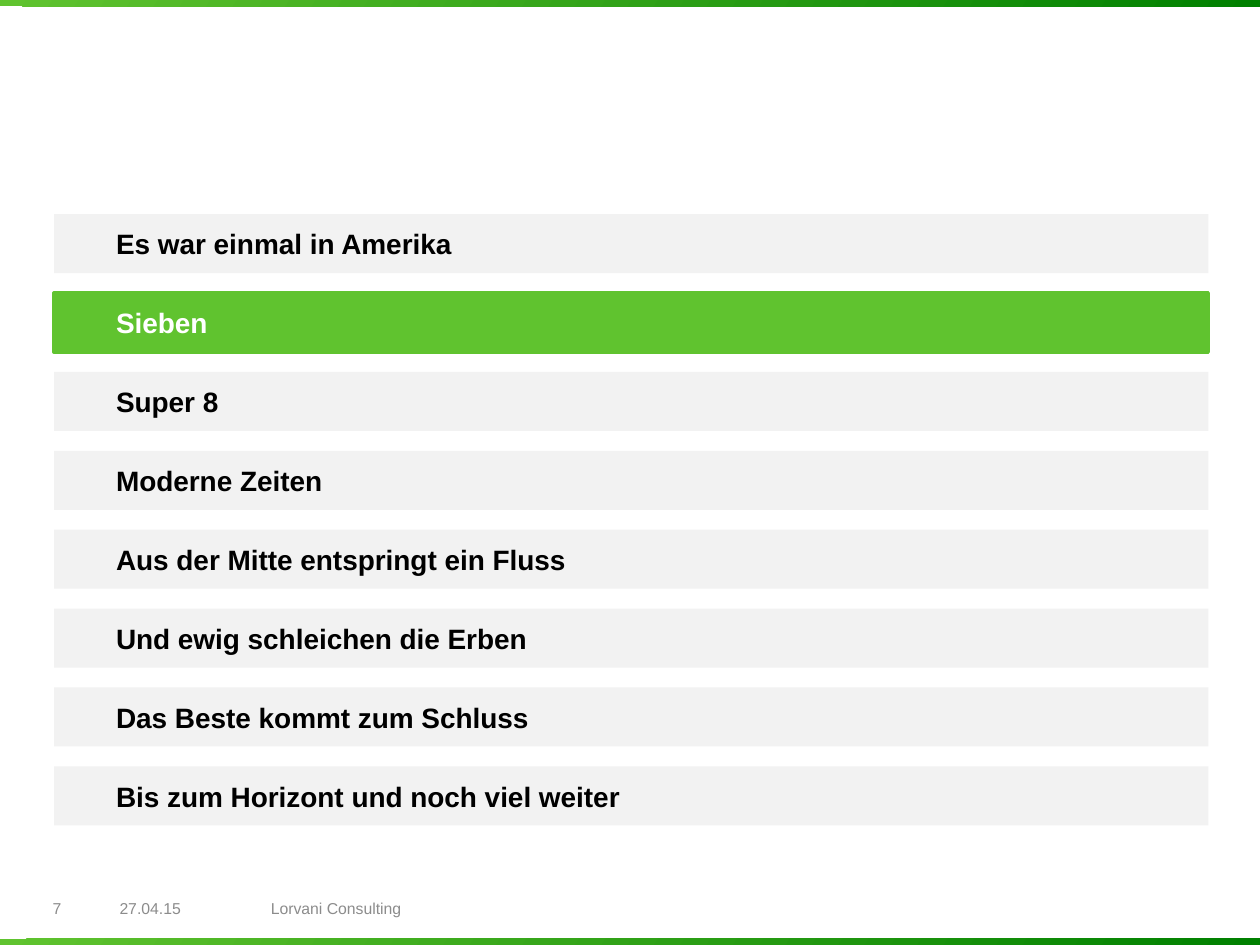
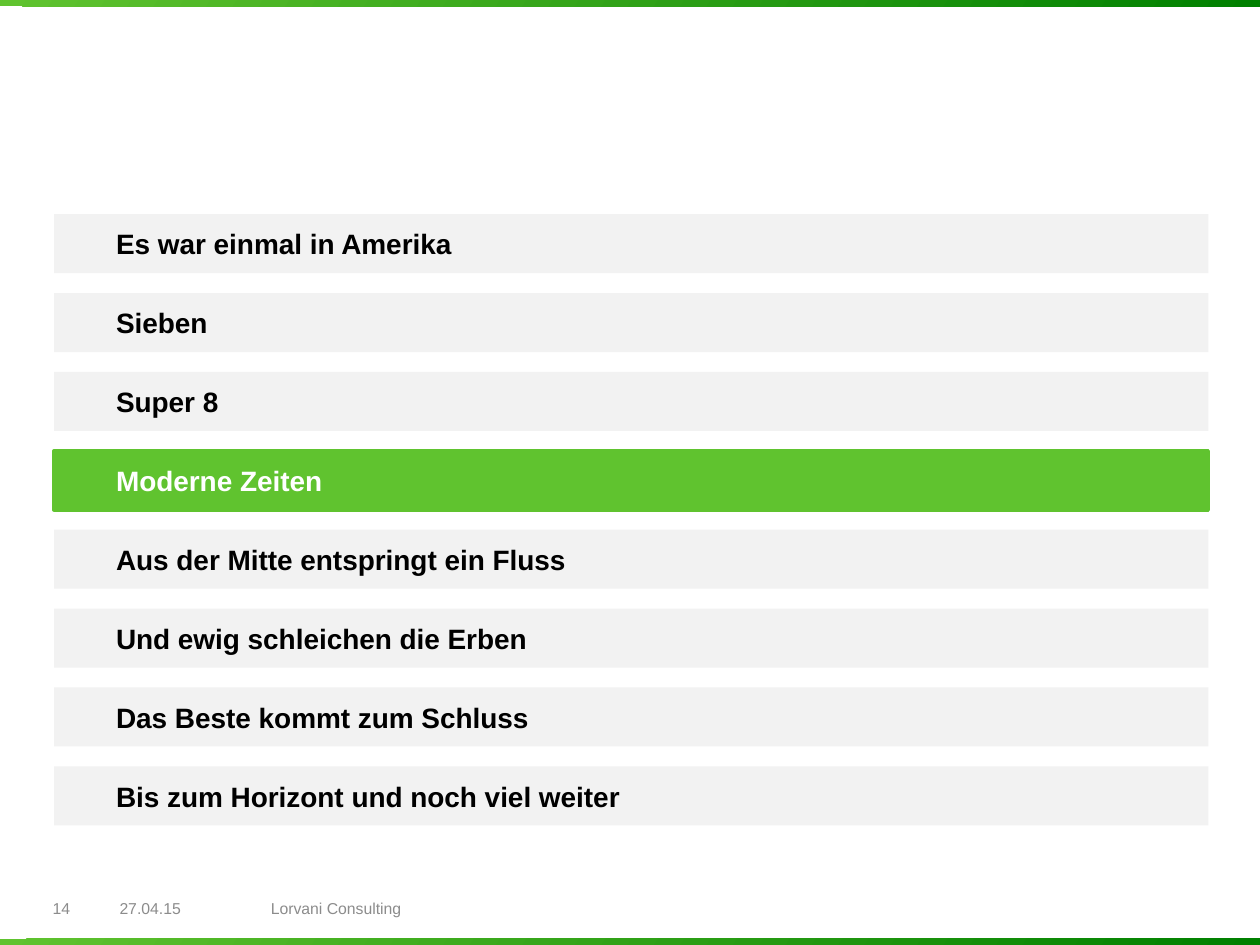
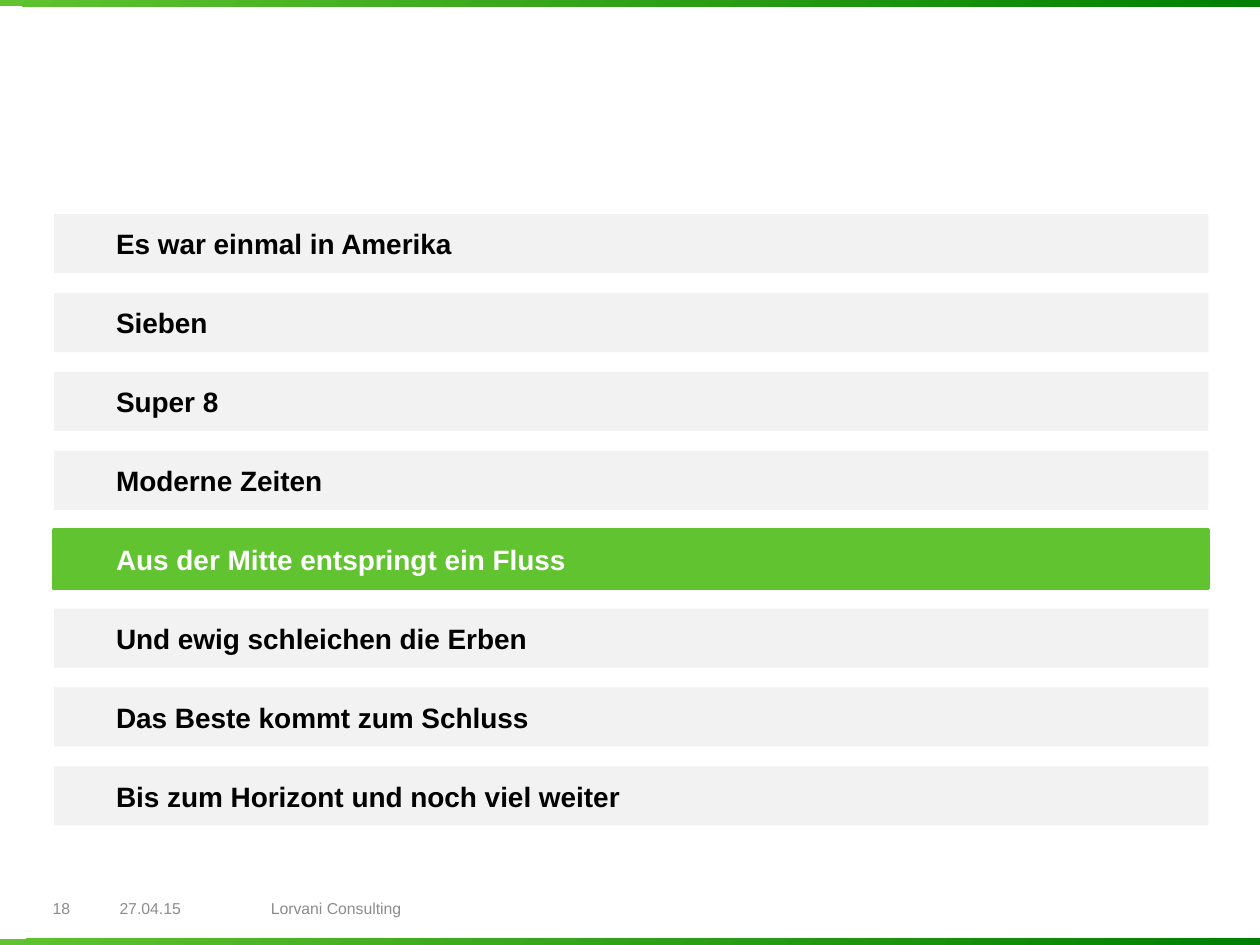
from dataclasses import dataclass

import pptx
import pptx.dml.color
import pptx.enum.shapes
import pptx.enum.text
import pptx.shapes.autoshape
import pptx.slide
import pptx.util

Cm = pptx.util.Cm
Pt = pptx.util.Pt

COLORS = {
    "green": "60C32F",
    "dark_green": "008000",
    "bar": "F2F2F2",
    "black": "000000",
    "white": "FFFFFF",
    "footer": "8C8C8C",
}
FONT = "Arial"

SLIDE_WIDTH, SLIDE_HEIGHT = 25.4, 19.05
BAND_HEIGHT = 0.13
AGENDA_LEFT, AGENDA_TOP, AGENDA_WIDTH = 1.09, 4.32, 23.27
BAR_HEIGHT, BAR_PITCH, BAR_INDENT = 1.19, 1.59, 1.25
FOOTER_TOP, FOOTER_HEIGHT = 17.96, 0.71

CHAPTERS = [
    "Es war einmal in Amerika",
    "Sieben",
    "Super 8",
    "Moderne Zeiten",
    "Aus der Mitte entspringt ein Fluss",
    "Und ewig schleichen die Erben",
    "Das Beste kommt zum Schluss",
    "Bis zum Horizont und noch viel weiter",
]


@dataclass(frozen=True)
class FooterField:
    text: str
    left: float
    width: float


@dataclass(frozen=True)
class AgendaSlide:
    number: int
    current: str


AGENDA_SLIDES = [
    AgendaSlide(7, "Sieben"),
    AgendaSlide(14, "Moderne Zeiten"),
    AgendaSlide(18, "Aus der Mitte entspringt ein Fluss"),
]


def rgb(name: str) -> pptx.dml.color.RGBColor:
    return pptx.dml.color.RGBColor.from_string(COLORS[name])


def write_text(shape: pptx.shapes.autoshape.Shape, text: str, *, size: float,
               color: str, bold: bool = False, indent: float = 0.25) -> None:
    """Fill the shape with one left-aligned, vertically centred line."""
    frame = shape.text_frame
    frame.word_wrap = True
    frame.vertical_anchor = pptx.enum.text.MSO_ANCHOR.MIDDLE
    frame.margin_left = Cm(indent)
    paragraph = frame.paragraphs[0]
    paragraph.alignment = pptx.enum.text.PP_ALIGN.LEFT
    run = paragraph.add_run()
    run.text = text
    run.font.name = FONT
    run.font.size = Pt(size)
    run.font.bold = bold
    run.font.color.rgb = rgb(color)


def add_rectangle(slide: pptx.slide.Slide, left: float, top: float,
                  width: float, height: float) -> pptx.shapes.autoshape.Shape:
    """Add a rectangle without shadow or outline."""
    rectangle = slide.shapes.add_shape(
        pptx.enum.shapes.MSO_SHAPE.RECTANGLE,
        Cm(left), Cm(top), Cm(width), Cm(height))
    rectangle.shadow.inherit = False
    rectangle.line.fill.background()
    return rectangle


def add_bands(slide: pptx.slide.Slide) -> None:
    for top in (0, SLIDE_HEIGHT - BAND_HEIGHT):
        band = add_rectangle(slide, 0, top, SLIDE_WIDTH, BAND_HEIGHT)
        band.fill.gradient()
        band.fill.gradient_angle = 328
        for stop, color in zip(band.fill.gradient_stops, ("green", "dark_green")):
            stop.color.rgb = rgb(color)


def add_agenda(slide: pptx.slide.Slide, current: str) -> None:
    for row, chapter in enumerate(CHAPTERS):
        is_current = chapter == current
        bar = add_rectangle(slide, AGENDA_LEFT, AGENDA_TOP + row * BAR_PITCH,
                            AGENDA_WIDTH, BAR_HEIGHT)
        bar.fill.solid()
        bar.fill.fore_color.rgb = rgb("green" if is_current else "bar")
        if is_current:
            bar.line.color.rgb = rgb("green")
            bar.line.width = Pt(2)
        write_text(bar, chapter, size=16, bold=True, indent=BAR_INDENT,
                   color="white" if is_current else "black")


def add_footer(slide: pptx.slide.Slide, number: int) -> None:
    fields = [
        FooterField("27.04.15", 2.16, 3.02),
        FooterField("Lorvani Consulting", 5.21, 12.42),
        FooterField(str(number), 0.81, 1.35),
    ]
    for field in fields:
        box = slide.shapes.add_textbox(Cm(field.left), Cm(FOOTER_TOP),
                                       Cm(field.width), Cm(FOOTER_HEIGHT))
        write_text(box, field.text, size=9, color="footer")


def main() -> None:
    deck = pptx.Presentation()
    deck.slide_width, deck.slide_height = Cm(SLIDE_WIDTH), Cm(SLIDE_HEIGHT)
    blank = deck.slide_layouts[6]
    for agenda in AGENDA_SLIDES:
        slide = deck.slides.add_slide(blank)
        add_bands(slide)
        add_agenda(slide, agenda.current)
        add_footer(slide, agenda.number)
    deck.save("out.pptx")


if __name__ == "__main__":
    main()
